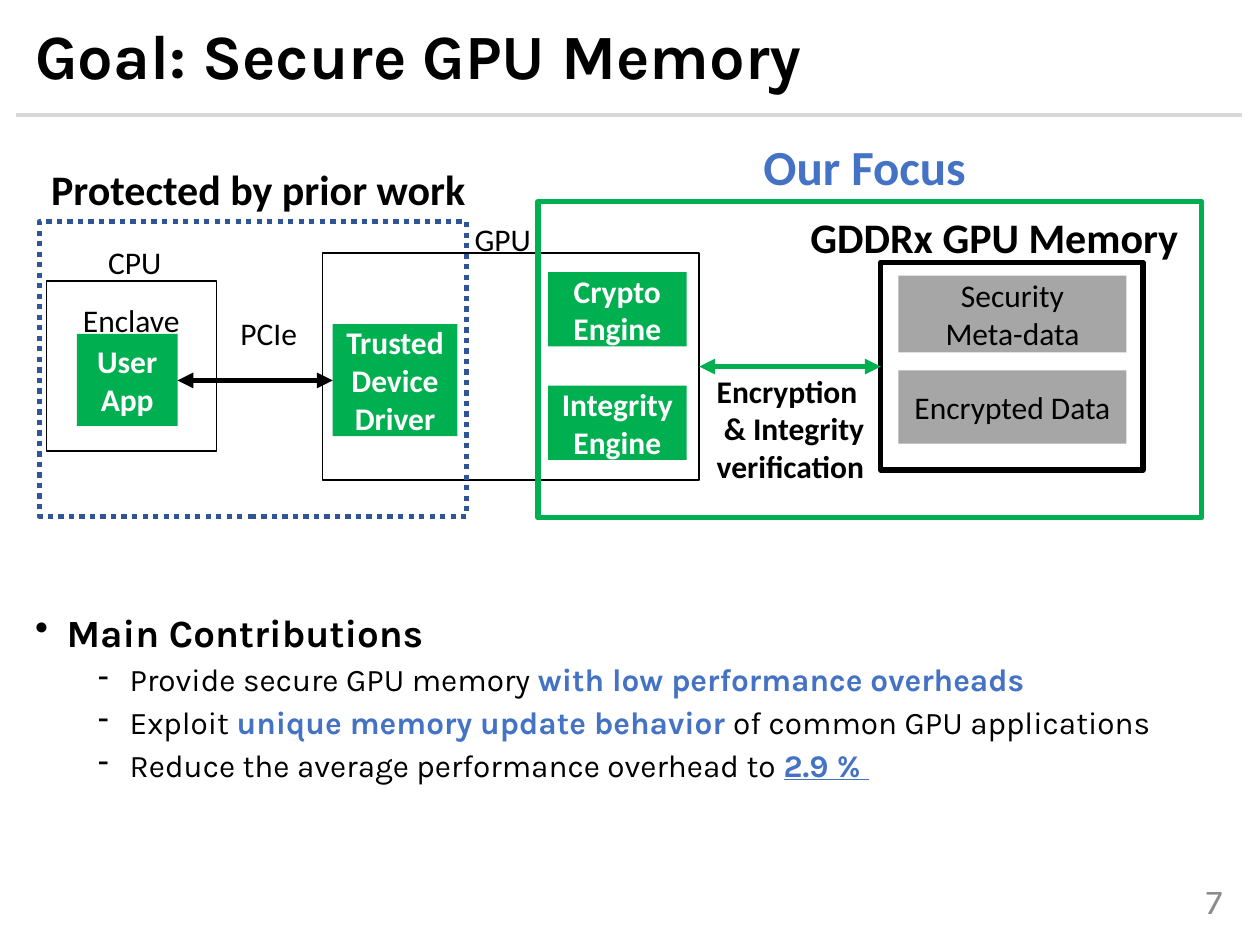
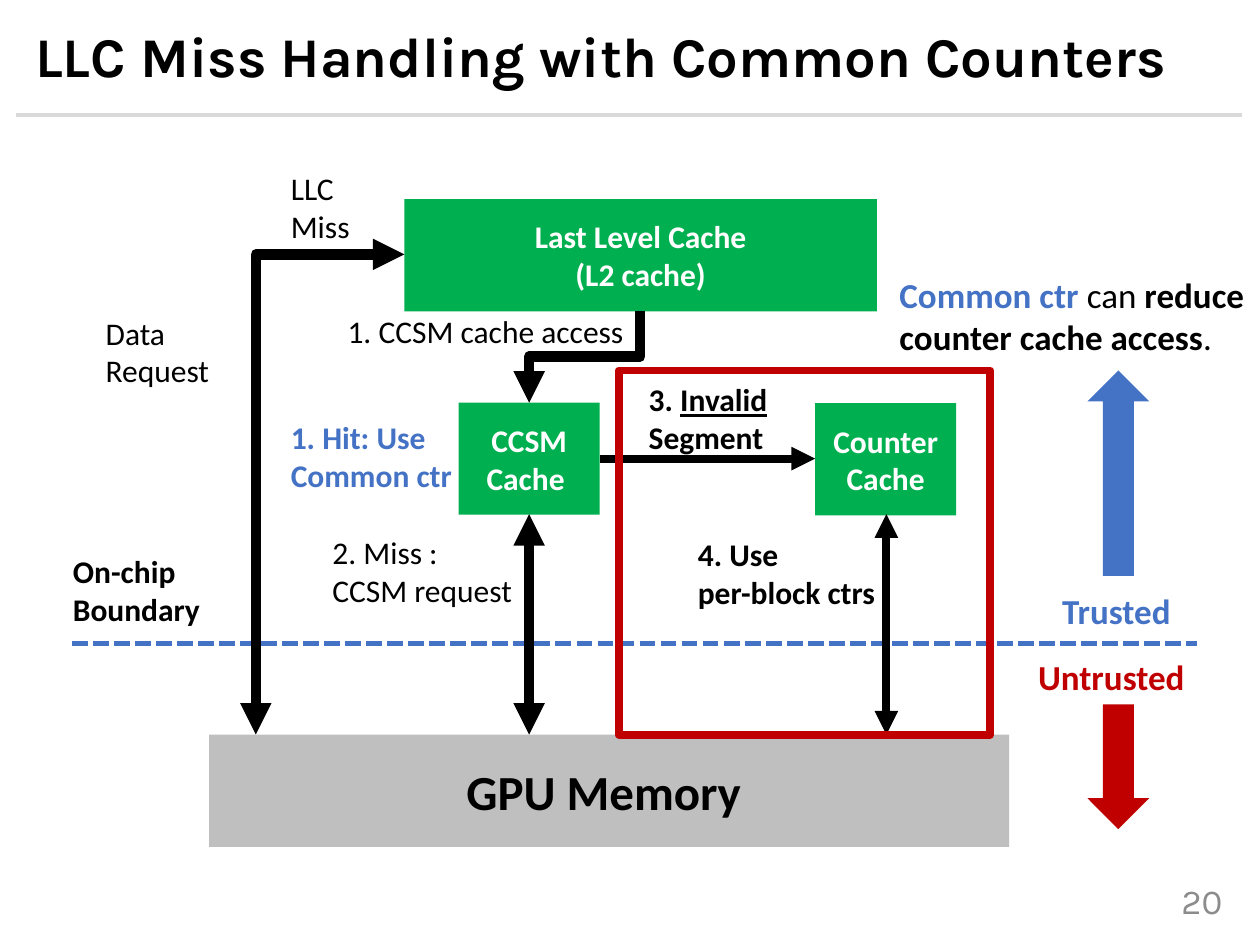
import pptx
import pptx.util
import pptx.dml.color
import pptx.enum.dml
import pptx.enum.shapes
import pptx.enum.text
import pptx.oxml.ns
import lxml.etree

Pt = pptx.util.Pt
RGB = pptx.dml.color.RGBColor
SHAPE = pptx.enum.shapes.MSO_SHAPE
CONN = pptx.enum.shapes.MSO_CONNECTOR
DASH = pptx.enum.dml.MSO_LINE
ALIGN = pptx.enum.text.PP_ALIGN
ANCHOR = pptx.enum.text.MSO_ANCHOR
qn = pptx.oxml.ns.qn

BLACK = RGB(0x00, 0x00, 0x00)
WHITE = RGB(0xFF, 0xFF, 0xFF)
GREEN = RGB(0x00, 0xB0, 0x50)
BLUE = RGB(0x44, 0x72, 0xC4)
NAVY = RGB(0x2F, 0x55, 0x97)
RED = RGB(0xC0, 0x00, 0x00)
RULE_GRAY = RGB(0xD9, 0xD9, 0xD9)
MEMORY_GRAY = RGB(0xBF, 0xBF, 0xBF)
DATA_GRAY = RGB(0xA6, 0xA6, 0xA6)
NUMBER_GRAY = RGB(0x8C, 0x8C, 0x8C)


def box(s, x, y, w, h, paras=(), size=18, color=BLACK, bold=False, align=None,
        anchor=None, font="Calibri", fill=None, line=None, weight=1, dash=None,
        shape=SHAPE.RECTANGLE):
    """Shape if it has a fill or line, else text box. A paragraph is a string
    or a list of runs (text, color, bold, underline)."""
    place = Pt(x), Pt(y), Pt(w), Pt(h)
    if fill is None and line is None:
        sp = s.shapes.add_textbox(*place)
    else:
        sp = s.shapes.add_shape(shape, *place)
        sp.shadow.inherit = False
        for part, c in ((sp.fill, fill), (sp.line.fill, line)):
            if c is None:
                part.background()
            else:
                part.solid()
                part.fore_color.rgb = c
        if line is not None:
            sp.line.width = Pt(weight)
            sp.line.dash_style = dash
        align, anchor = align or ALIGN.CENTER, anchor or ANCHOR.MIDDLE
    tf = sp.text_frame
    tf.word_wrap = True
    tf.vertical_anchor = anchor or ANCHOR.TOP
    for i, runs in enumerate(paras):
        p = tf.add_paragraph() if i else tf.paragraphs[0]
        p.alignment = align or ALIGN.LEFT
        if isinstance(runs, str):
            runs = [(runs, color, bold, False)]
        for text, c, b, u in runs:
            r = p.add_run()
            r.text = text
            r.font.name, r.font.size = font, Pt(size)
            r.font.bold, r.font.underline = b, u
            r.font.color.rgb = c
    return sp


def connect(s, x1, y1, x2, y2, color=BLACK, weight=3.0, ends=(), dash=None,
            kind=CONN.STRAIGHT):
    """Connector with triangle arrowheads at the named ends."""
    c = s.shapes.add_connector(kind, Pt(x1), Pt(y1), Pt(x2), Pt(y2))
    c.line.color.rgb = color
    c.line.width = Pt(weight)
    c.line.dash_style = dash
    spPr = c._element.spPr
    for end in ends:
        lxml.etree.SubElement(spPr.find(qn("a:ln")), qn("a:" + end), type="triangle")
    lxml.etree.SubElement(spPr, qn("a:effectLst"))
    return c


TAIL = ("tailEnd",)
BOTH = ("headEnd", "tailEnd")

prs = pptx.Presentation()
prs.slide_width, prs.slide_height = Pt(720), Pt(540)

# Shared title, rule and slide number
slides = []
for title, title_size, number in (
        ("Goal: Secure GPU Memory", 36, "7"),
        ("LLC Miss Handling with Common Counters", 32, "20")):
    s = prs.slides.add_slide(prs.slide_layouts[6])
    box(s, 627.8, 500.4, 77.8, 28.8, [number], 20, NUMBER_GRAY, font="Karla",
        align=ALIGN.RIGHT, anchor=ANCHOR.MIDDLE)
    connect(s, 9.4, 65.7, 709.9, 65.7, RULE_GRAY, 2.25)
    sp = box(s, 13, 10.1, 700.6, 47.5, [title], title_size, bold=True,
             font="Karla", anchor=ANCHOR.MIDDLE)
    sp.text_frame.paragraphs[0].line_spacing = 0.9
    slides.append(s)
goal, miss = slides

# Slide 1: frames
for x, y, w, h, color, weight, dash in (
        (184.3, 144.7, 215.3, 129.6, BLACK, 1, None),
        (503.3, 149.8, 149.8, 118.8, BLACK, 3, None),
        (26.6, 160.6, 97.2, 97.2, BLACK, 1, None),
        (307.4, 115.2, 379.4, 180.7, GREEN, 3, None),
        (22.5, 126.7, 244.1, 168.5, NAVY, 3, DASH.ROUND_DOT)):
    box(goal, x, y, w, h, line=color, weight=weight, dash=dash)

# Slide 1: trusted components and protected data
for x, y, w, h, paras in (
        (43.9, 190.8, 57.6, 52.6, ["User", "App"]),
        (313.2, 155.5, 79.2, 42.5, ["Crypto", "Engine"]),
        (313.2, 220.3, 79.2, 42.5, ["Integrity", "Engine"]),
        (190.1, 185.2, 71.3, 64.1, ["Trusted ", "Device Driver"])):
    box(goal, x, y, w, h, paras, color=WHITE, bold=True, fill=GREEN)
box(goal, 513.4, 157.5, 130.3, 43.9, ["Security", "Meta-data"], fill=DATA_GRAY)
box(goal, 513.4, 211.7, 130.3, 41.8, ["Encrypted Data"], fill=DATA_GRAY)

# Slide 1: labels and links
for x, y, w, text, align in (
        (40.3, 168.5, 73.4, "Enclave", ALIGN.LEFT),
        (51.8, 135.4, 50.4, "CPU", ALIGN.CENTER),
        (262.1, 122.4, 50.4, "GPU", ALIGN.CENTER),
        (130.3, 175.7, 59, "PCIe", ALIGN.LEFT)):
    box(goal, x, y, w, 28.8, [text], align=align)
for x, y, w, h, text, size, color in (
        (451.4, 117.4, 239, 36, "GDDRx GPU Memory ", 24, BLACK),
        (405.4, 74.2, 183.6, 41, "Our Focus ", 28, BLUE),
        (6.5, 90, 282.2, 36, "Protected by prior work", 24, BLACK)):
    box(goal, x, y, w, h, [text], size, color, True, ALIGN.CENTER)
box(goal, 402.5, 208.8, 100.8, 72.7,
    ["Encryption", " & Integrity verification"], bold=True)
connect(goal, 101.5, 217.4, 190.1, 217.4, ends=BOTH)
connect(goal, 399.6, 209.5, 503.3, 209.5, GREEN, ends=BOTH)

# Slide 1: contributions
sp = box(goal, 13, 347.4, 700.6, 132, [
    [("Main Contributions", BLACK, True, False)],
    [("Provide secure GPU memory ", BLACK, False, False),
     ("with low performance overheads", BLUE, True, False)],
    [("Exploit ", BLACK, False, False),
     ("unique memory update behavior ", BLUE, True, False),
     ("of common GPU applications", BLACK, False, False)],
    [("Reduce the average performance overhead to ", BLACK, False, False),
     ("2.9 % ", BLUE, True, True)]], font="Karla")
for i, p in enumerate(sp.text_frame.paragraphs):
    p.line_spacing = 0.9
    p.space_before = Pt(5 if i else 0)
    pPr = p._p.get_or_add_pPr()
    pPr.set("marL", str(Pt(54 if i else 18)))
    pPr.set("indent", str(Pt(-18)))
    lxml.etree.SubElement(pPr, qn("a:buChar"), char="-" if i else "•")
sp.text_frame.paragraphs[0].runs[0].font.size = Pt(22)

# Slide 2: caches and memory
for x, y, w, paras in (
        (231.1, 113.8, 270, ["Last Level Cache", "(L2 cache)"]),
        (262.1, 230, 80.6, ["CCSM Cache "]),
        (465.8, 230.4, 80.6, ["Counter Cache"])):
    box(miss, x, y, w, 64.1, paras, color=WHITE, bold=True, fill=GREEN)
box(miss, 119.5, 419.8, 457.2, 64.1, ["GPU Memory "], 28, bold=True, fill=MEMORY_GRAY)

# Slide 2: data paths
connect(miss, 41, 367.9, 684, 367.9, BLUE, dash=DASH.SQUARE_DOT)
connect(miss, 506.5, 293.8, 506.5, 419.8, weight=4.5, ends=BOTH)
connect(miss, 302.4, 293.8, 302.4, 419.8, weight=6, ends=BOTH)
connect(miss, 342.7, 262.1, 465.8, 262.1, weight=4.5, ends=TAIL)
c = connect(miss, 231.1, 145.4, 146.2, 419.8, weight=6, ends=BOTH, kind=CONN.ELBOW)
c._element.spPr.find(qn("a:prstGeom")).set("prst", "bentConnector2")
c = connect(miss, 307.8, 172.1, 360.4, 235.5, weight=6, ends=TAIL, kind=CONN.ELBOW)
c._element.spPr.find(qn("a:xfrm")).set("rot", str(90 * 60000))
box(miss, 353.5, 211.7, 212.4, 208.1, line=RED, weight=4.5)

# Slide 2: labels
for x, y, w, h, paras, size, color, bold in (
        (34.6, 311.8, 113, 51.1, ["On-chip", "Boundary"], 18, BLACK, True),
        (599.8, 333.4, 95.8, 31.7, ["Trusted"], 20, BLUE, True),
        (586.1, 370.8, 108, 31.7, ["Untrusted"], 20, RED, True),
        (53.3, 175.7, 82.8, 51.1, ["Data", "Request"], 18, BLACK, False),
        (191.5, 175, 200.2, 28.8, ["1. CCSM cache access"], 18, BLACK, False),
        (182.9, 301, 126.7, 51.1, ["2. Miss :", "CCSM request"], 18, BLACK, False),
        (159.1, 235.4, 141.1, 51.1, ["1. Hit: Use Common ctr"], 18, BLUE, True),
        (391.7, 302.4, 139.7, 51.1, ["4. Use", "per-block ctrs"], 18, BLACK, True),
        (159.1, 92.9, 82.8, 51.1, ["LLC", "Miss"], 18, BLACK, False)):
    box(miss, x, y, w, h, paras, size, color, bold)
box(miss, 363.6, 213.8, 110.2, 51.1,
    [[("3. ", BLACK, True, False), ("Invalid", BLACK, True, True)], "Segment"], bold=True)
box(miss, 506.9, 152.6, 212.4, 55.4,
    [[("Common ctr ", BLUE, True, False), ("can ", BLACK, False, False),
      ("reduce counter cache access", BLACK, True, False),
      (".", BLACK, False, False)]], 20)

# Slide 2: trust directions
box(miss, 621.4, 402.5, 35.3, 71.3, fill=RED, shape=SHAPE.DOWN_ARROW)
sp = box(miss, 621.4, 211.7, 35.3, 117.4, fill=BLUE, shape=SHAPE.DOWN_ARROW)
sp.rotation = 180

prs.save("out.pptx")
